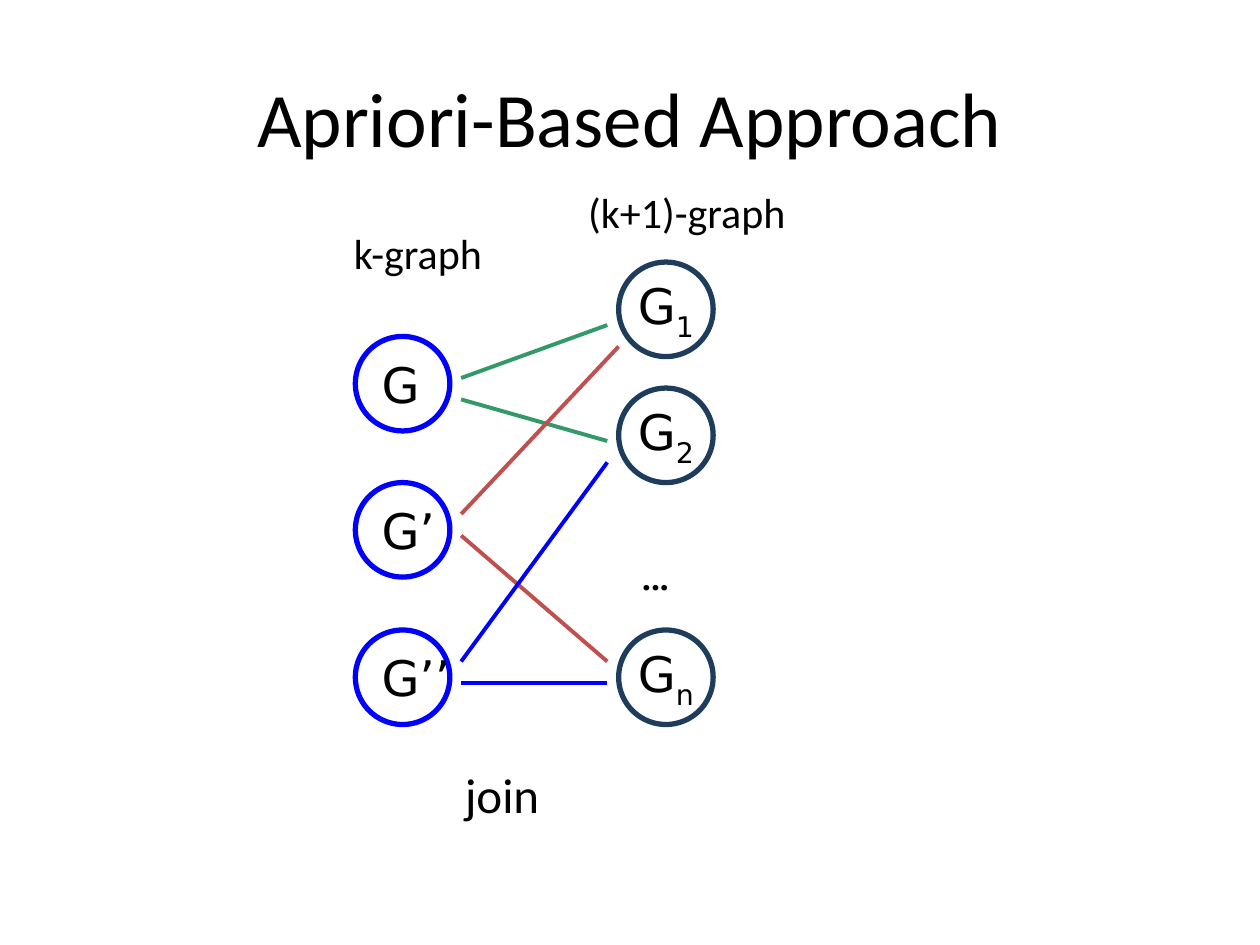
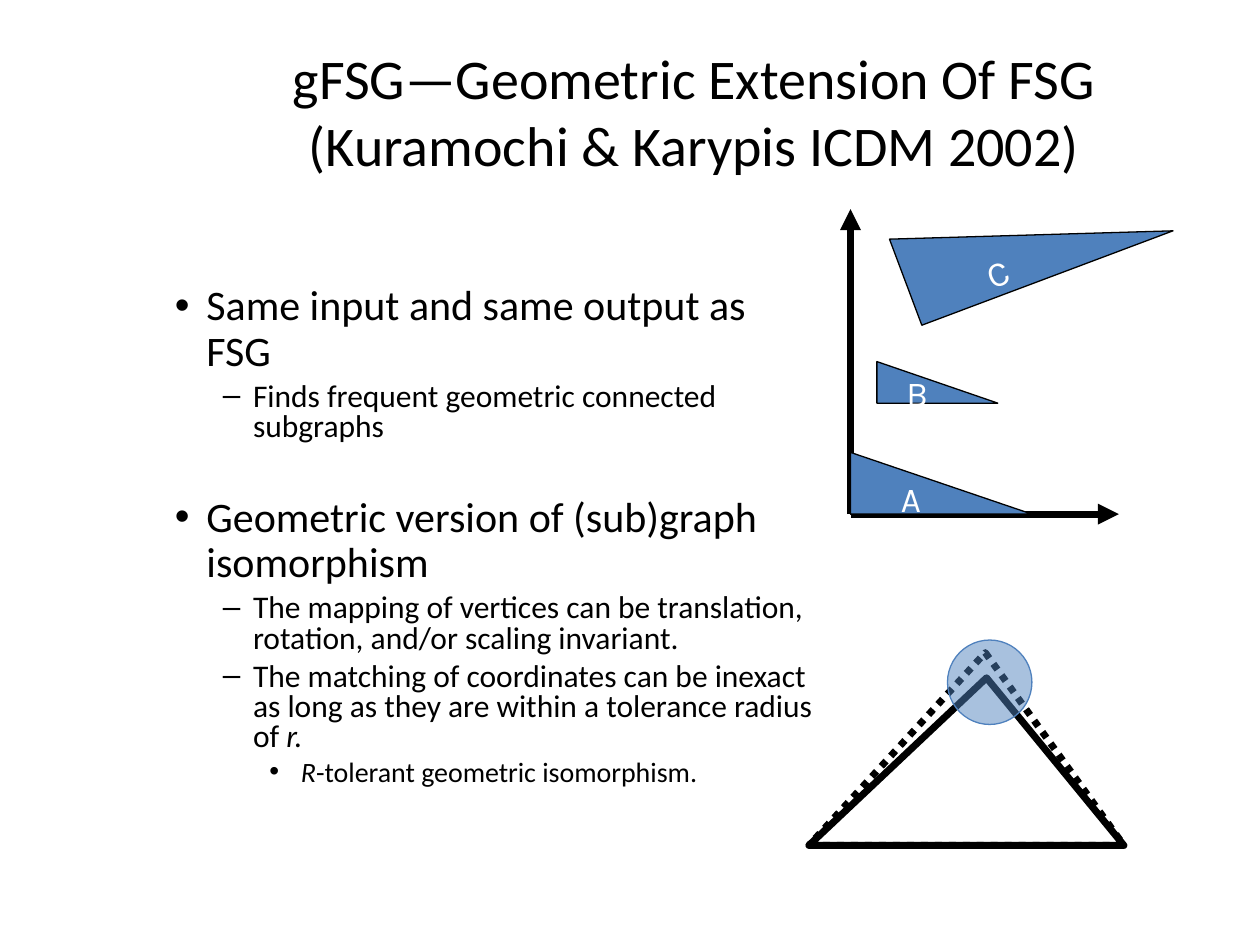
from lxml import etree
from pptx import Presentation
from pptx import util as u
from pptx.dml.color import RGBColor
from pptx.enum import dml, shapes, text
from pptx.oxml import ns

PX = 9144  # one px is a hundredth of an inch
COLORS = {
    "black": "000000", "white": "FFFFFF", "blue": "0000FF", "navy": "1E3D5C",
    "green": "339966", "red": "C0504D", "steel": "4F81BD",
}
BODY_FONT, NODE_FONT, LETTER_FONT = "Calibri", "DejaVu Sans", "Karla"
CENTER, LEFT = text.PP_ALIGN.CENTER, text.PP_ALIGN.LEFT

# Per outline level: size, left margin, hanging indent, bullet, line spacing, space before
LEVELS = [
    (24, 25, 25, "•", 0.9, 6),
    (18, 62, 24, "–", 0.8, 4.5),
    (16, 100, 25, "•", 0.8, 4),
]


def px(*lengths):
    return [u.Emu(round(length * PX)) for length in lengths]


def rgb(name):
    return RGBColor.from_string(COLORS[name])


def add_xml(parent, tag, **attributes):
    return etree.SubElement(parent, ns.qn(tag), attributes)


# Shared text and shape helpers

def style(paragraph, size, font=BODY_FONT, color="black", align=LEFT):
    paragraph.alignment = align
    paragraph.font.size = u.Pt(size)
    paragraph.font.name = font
    paragraph.font.color.rgb = rgb(color)


def paint(shape, line, width, fill=None):
    shape.shadow.inherit = False
    if fill:
        shape.fill.solid()
        shape.fill.fore_color.rgb = rgb(fill)
    else:
        shape.fill.background()
    shape.line.color.rgb = rgb(line)
    shape.line.width = u.Pt(width)


def add_line(slide, start, end, color, width, arrow=False):
    line = slide.shapes.add_connector(shapes.MSO_CONNECTOR.STRAIGHT, *px(*start, *end))
    line.line.color.rgb = rgb(color)
    line.line.width = u.Pt(width)
    if arrow:
        add_xml(line.line._get_or_add_ln(), "a:tailEnd", type="triangle")
    add_xml(line._element.spPr, "a:effectLst")


def add_title(slide, box, size, lines):
    frame = slide.shapes.add_textbox(*px(*box)).text_frame
    frame.word_wrap = True
    frame.vertical_anchor = text.MSO_ANCHOR.MIDDLE
    paragraph = frame.paragraphs[0]
    style(paragraph, size, align=CENTER)
    for index, line in enumerate(lines):
        if index:
            paragraph.add_line_break()
        paragraph.add_run().text = line


def add_label(slide, box, words, size, font=BODY_FONT):
    frame = slide.shapes.add_textbox(*px(*box)).text_frame
    frame.word_wrap = False
    frame.text = words
    style(frame.paragraphs[0], size, font)


def add_lettered_shape(slide, kind, box, letter, font, size, colors, width, align=CENTER):
    fill, line, ink = colors
    shape = slide.shapes.add_shape(kind, *px(*box))
    paint(shape, line, width, fill)
    frame = shape.text_frame
    frame.word_wrap = False
    frame.vertical_anchor = text.MSO_ANCHOR.MIDDLE
    paragraph = frame.paragraphs[0]
    style(paragraph, size, font, ink, align)
    paragraph.add_run().text = letter
    return shape


# Slide 1: k-graphs joined into (k+1)-graphs

def add_join_graph(slide, left, top):
    diameter, right_column = 75, 209
    oval = shapes.MSO_SHAPE.OVAL

    def add_node(x, y, letter, line, align):
        return add_lettered_shape(
            slide, oval, (left + x, top + y, diameter, diameter), letter,
            NODE_FONT, 28, ("white", line, "black"), 3, align)

    for y, letter in ((59, "G"), (175, "G’"), (292, "G’’")):
        add_node(0, y, letter, "blue", LEFT)
    for y, subscript in ((0, "1"), (100, "2"), (292, "n")):
        node = add_node(right_column, y, "G", "navy", CENTER)
        run = node.text_frame.paragraphs[0].add_run()
        run.text = subscript
        run._r.get_or_add_rPr().set("baseline", "-25000")

    # Edges: start height, end point, colour
    for start_y, end_x, end_y, color in (
            (92, 200, 50, "green"), (109, 200, 142, "green"),
            (200, 209, 67, "red"), (217, 200, 317, "red"),
            (317, 200, 159, "blue"), (334, 200, 334, "blue")):
        add_line(slide, (left + 84, top + start_y), (left + end_x, top + end_y), color, 2.25)

    for x, y, width, height, words, size, font in (
            (-11, -32, 123, 50, "k-graph", 24, BODY_FONT),
            (175, -65, 177, 50, "(k+1)-graph", 24, BODY_FONT),
            (218, 217, 50, 57, "…", 28, LETTER_FONT),
            (77, 394, 79, 57, "join", 28, BODY_FONT)):
        add_label(slide, (left + x, top + y, width, height), words, size, font)


# Slide 2: outline, axes with triangles, tolerance sketch

def add_outline(slide, box, items):
    frame = slide.shapes.add_textbox(*px(*box)).text_frame
    frame.word_wrap = True
    for index, (level, extra_space, runs) in enumerate(items):
        size, margin, hanging, bullet, spacing, before = LEVELS[level]
        paragraph = frame.paragraphs[0] if index == 0 else frame.add_paragraph()
        paragraph.level = level
        paragraph.line_spacing = spacing
        paragraph.space_before = u.Pt(before + extra_space if index else 0)
        properties = paragraph._p.get_or_add_pPr()
        properties.set("marL", str(margin * PX))
        properties.set("indent", str(-hanging * PX))
        add_xml(properties, "a:buFont", typeface="Arial")
        add_xml(properties, "a:buChar", char=bullet)
        style(paragraph, size)
        for words, italic in runs:
            run = paragraph.add_run()
            run.text = words
            if italic:
                run.font.italic = True


def add_axes(slide, left, top, width, height):
    origin = (left, top + height)
    for tip in ((left, top), (left + width, top + height)):
        add_line(slide, origin, tip, "black", 4, arrow=True)
    for x, y, base, rise, angle, letter in (
            (0, 193, 144, 49, 0, "A"),
            (21, 121, 96, 33, 0, "B"),
            (37, -16, 213, 73, 339.4, "C")):
        triangle = add_lettered_shape(
            slide, shapes.MSO_SHAPE.RIGHT_TRIANGLE, (left + x, top + y, base, rise), letter,
            LETTER_FONT, 20, ("steel", "black", "white"), 0.75)
        triangle.rotation = angle


def add_tolerance_sketch(slide, left, top, width, height):
    bottom = top + height
    for apex, dash in (((141, 30), None), ((140, 10), dml.MSO_LINE.ROUND_DOT)):
        builder = slide.shapes.build_freeform(left, bottom, scale=PX)
        builder.add_line_segments(
            [(left + width, bottom), (left + apex[0], top + apex[1])], close=True)
        triangle = builder.convert_to_shape()
        paint(triangle, "black", 4)
        if dash:
            triangle.line.dash_style = dash
        add_xml(triangle.line._get_or_add_ln(), "a:round")

    # Translucent tolerance circle
    circle = slide.shapes.add_shape(shapes.MSO_SHAPE.OVAL, *px(left + 110, top, 67, 67))
    paint(circle, "steel", 0.75, "steel")
    color = circle._element.spPr.find(ns.qn("a:solidFill")).find(ns.qn("a:srgbClr"))
    add_xml(color, "a:alpha", val="49000")


def build_apriori_slide(slide):
    add_title(slide, (50, 30, 900, 125), 44, ["Apriori-Based Approach"])
    add_join_graph(slide, 282, 208)


def build_geometric_slide(slide):
    add_title(slide, (125, 17, 852, 142), 32,
              ["gFSG—Geometric Extension Of FSG", "(Kuramochi & Karypis ICDM 2002)"])
    # Items: level, extra space before, runs with italic flag
    add_outline(slide, (129, 221, 530, 450), [
        (0, 0, [("Same input and same output as FSG", False)]),
        (1, 0, [("Finds frequent geometric connected subgraphs", False)]),
        (0, 24, [("Geometric version of (sub)graph isomorphism", False)]),
        (1, 0, [("The mapping of vertices can be translation, rotation, "
                 "and/or scaling invariant.", False)]),
        (1, 0, [("The matching of coordinates can be inexact as long as they are "
                 "within a tolerance radius of ", False), ("r.", True)]),
        (2, 0, [("R", True), ("-tolerant geometric isomorphism.", False)]),
    ])
    add_axes(slide, 675, 166, 213, 242)
    add_tolerance_sketch(slide, 642, 508, 250, 163)


def main():
    presentation = Presentation()
    presentation.slide_width, presentation.slide_height = px(1000, 750)
    for build in (build_apriori_slide, build_geometric_slide):
        build(presentation.slides.add_slide(presentation.slide_layouts[6]))
    presentation.save("out.pptx")


if __name__ == "__main__":
    main()
